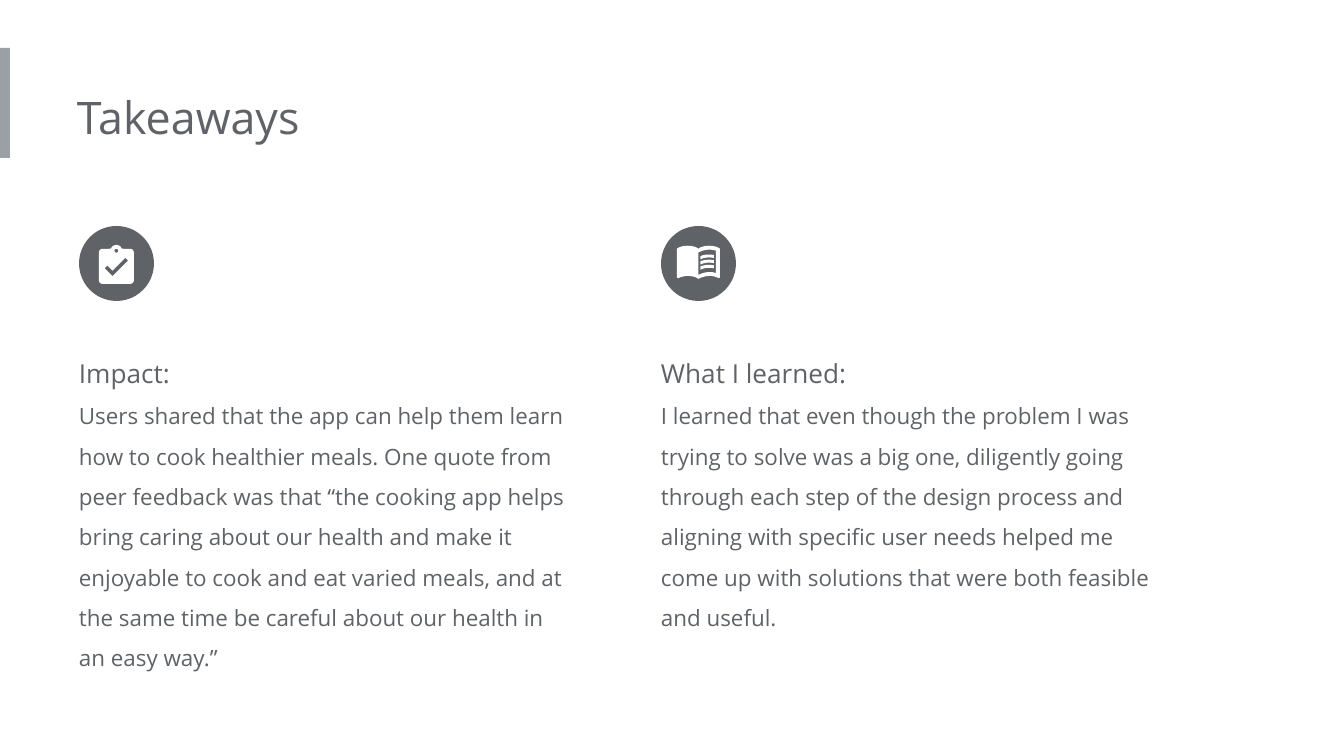
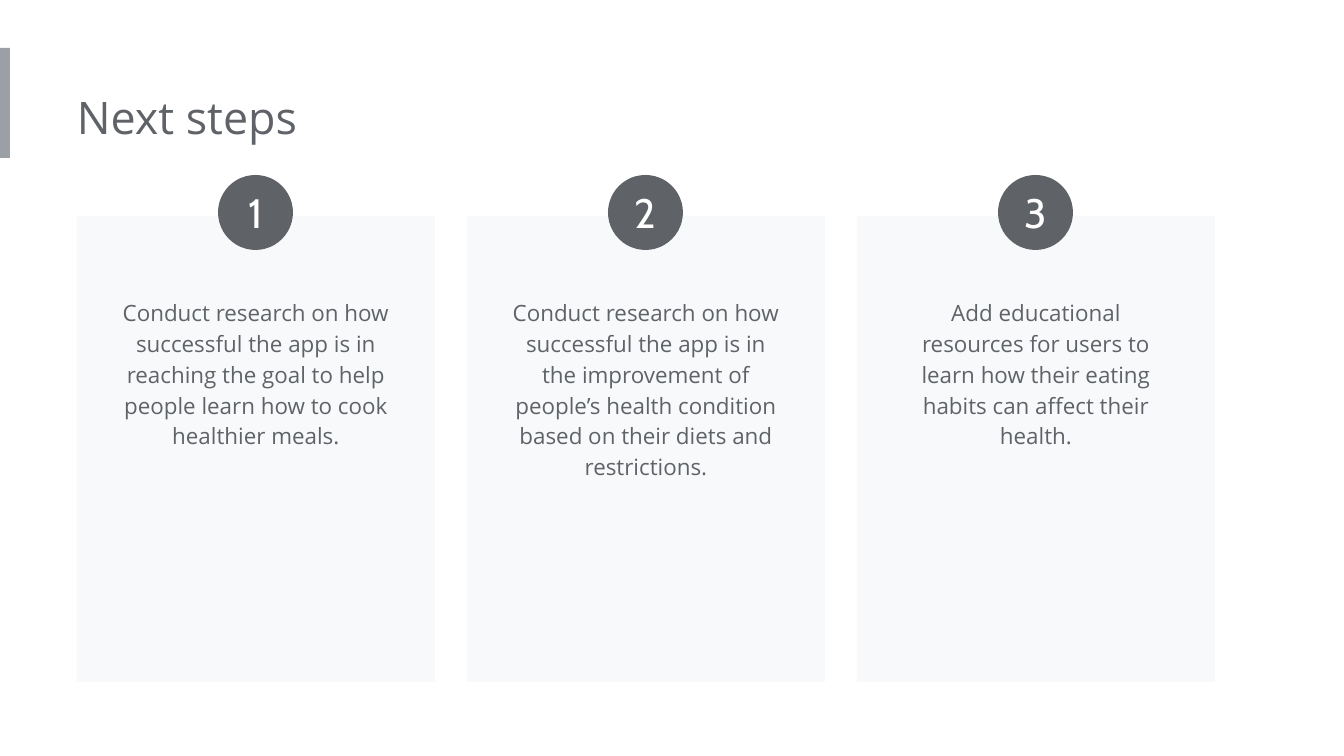
from dataclasses import dataclass
from math import cos, radians, sin

from pptx import Presentation
from pptx.dml.color import RGBColor
from pptx.enum.shapes import MSO_SHAPE
from pptx.enum.text import MSO_ANCHOR, MSO_AUTO_SIZE, PP_ALIGN
from pptx.util import Inches, Pt

SLIDE_W, SLIDE_H = 1344, 756
PX = Inches(10) / SLIDE_W
ICON_SCALE = PX * 0.0195  # icons are drawn on a 2400-unit grid
INSET = 13
DISC = 75


@dataclass(frozen=True)
class Theme:
    ink: RGBColor = RGBColor(0x5F, 0x63, 0x68)
    band: RGBColor = RGBColor(0x9A, 0xA0, 0xA6)
    card: RGBColor = RGBColor(0xF8, 0xF9, 0xFA)
    white: RGBColor = RGBColor(0xFF, 0xFF, 0xFF)
    font: str = "Open Sans"
    number_font: str = "Cabin"
    title: int = 24
    number: int = 22
    heading: int = 14
    body: int = 12


@dataclass(frozen=True)
class Box:
    x: int
    y: int
    w: int
    h: int

    def emu(self) -> list[int]:
        return [round(v * PX) for v in (self.x, self.y, self.w, self.h)]


@dataclass(frozen=True)
class Line:
    text: str
    size: int
    color: RGBColor
    font: str


Contour = list[tuple[float, float]]


@dataclass(frozen=True)
class Icon:
    dx: int
    dy: int
    outlines: list[list[Contour]]


@dataclass(frozen=True)
class Takeaway:
    heading: str
    body: str
    icon: Icon


THEME = Theme()
BAND = Box(0, 48, 10, 110)
TITLE = Box(77, 77, 724, 82)
COLUMN_X, COLUMN_PITCH = 79, 582
CARD_X, CARD_PITCH = 77, 390


def arc(cx: float, cy: float, radius: float, start: int, end: int) -> Contour:
    """Points along a circular arc, clockwise on the slide, in degrees."""
    steps = 12
    angles = [radians(start + (end - start) * i / steps) for i in range(steps + 1)]
    return [(cx + radius * cos(a), cy + radius * sin(a)) for a in angles]


def text_rule(y: int) -> Contour:
    """One line of print on the right-hand page of the book."""
    curve = [(1300, 83), (1450, 35), (1600, 8), (1750, 0), (1880, 6), (2000, 24),
             (2000, 176), (1880, 157), (1750, 150), (1600, 158), (1450, 192), (1300, 249)]
    return [(px, y + py) for px, py in curve]


CLIPBOARD = Icon(14, 17, [[
    arc(1200, 400, 300, 200, 340) + arc(1900, 500, 200, 270, 360)
    + arc(1900, 1900, 200, 0, 90) + arc(500, 1900, 200, 90, 180)
    + arc(500, 500, 200, 180, 270),
    arc(1200, 400, 100, 0, 360),
    [(1000, 1700), (600, 1300), (741, 1159), (1000, 1417), (1659, 758), (1800, 900)],
]])

BOOK = Icon(14, 11, [
    [
        [(100, 600), (220, 531), (360, 484), (500, 459), (650, 450), (800, 459),
         (940, 484), (1080, 531), (1200, 600), (1320, 531), (1460, 484), (1600, 459),
         (1750, 450), (1930, 462), (2100, 500), (2210, 543), (2300, 600), (2300, 2060),
         (2285, 2095), (2250, 2110), (2225, 2105), (2110, 2056), (1990, 2023),
         (1870, 2005), (1750, 2000), (1600, 2014), (1450, 2050), (1310, 2095),
         (1200, 2150), (1080, 2081), (940, 2034), (800, 2009), (650, 2000),
         (530, 2010), (400, 2035), (280, 2070), (175, 2110), (150, 2115),
         (115, 2100), (100, 2065)],
        [(1200, 800), (1310, 745), (1450, 697), (1600, 663), (1750, 650), (1930, 662),
         (2100, 700), (2100, 1850), (1930, 1812), (1750, 1800), (1600, 1814),
         (1450, 1850), (1310, 1895), (1200, 1950)],
    ],
    *[[text_rule(900 + 266 * i)] for i in range(3)],
])

TAKEAWAYS = [
    Takeaway(
        "Impact:",
        "Users shared that the app can help them learn how to cook healthier meals. "
        "One quote from peer feedback was that “the cooking app helps bring caring about "
        "our health and make it enjoyable to cook and eat varied meals, and at the same "
        "time be careful about our health in an easy way.”",
        CLIPBOARD),
    Takeaway(
        "What I learned:",
        "I learned that even though the problem I was trying to solve was a big one, "
        "diligently going through each step of the design process and aligning with "
        "specific user needs helped me come up with solutions that were both feasible "
        "and useful.",
        BOOK),
]

NEXT_STEPS = [
    "Conduct research on how successful the app is in reaching the goal to help people "
    "learn how to cook healthier meals.",
    "Conduct research on how successful the app is in the improvement of people’s health "
    "condition based on their diets and restrictions.",
    "Add educational resources for users to learn how their eating habits can affect "
    "their health.",
]


def ink_line(text: str, size: int) -> Line:
    return Line(text, size, THEME.ink, THEME.font)


def set_all(target, values: dict) -> None:
    for name, value in values.items():
        setattr(target, name, value)


def write(sp, lines: list[Line], *, align=PP_ALIGN.LEFT, spacing: float = 1.0,
          left: int = 0, inset: int = INSET, anchor=MSO_ANCHOR.TOP,
          fit=MSO_AUTO_SIZE.SHAPE_TO_FIT_TEXT) -> None:
    tf = sp.text_frame
    margin = round(inset * PX)
    set_all(tf, {"word_wrap": True, "auto_size": fit, "vertical_anchor": anchor,
                 "margin_left": round(left * PX), "margin_right": margin,
                 "margin_top": margin, "margin_bottom": margin})
    for i, line in enumerate(lines):
        p = tf.add_paragraph() if i else tf.paragraphs[0]
        set_all(p, {"alignment": align, "line_spacing": spacing,
                    "space_before": Pt(0), "space_after": Pt(0)})
        r = p.add_run()
        r.text = line.text
        set_all(r.font, {"name": line.font, "size": Pt(line.size)})
        r.font.color.rgb = line.color


def paint(sp, color: RGBColor):
    sp.shadow.inherit = False
    sp.fill.solid()
    sp.fill.fore_color.rgb = color
    sp.line.fill.background()
    return sp


def add_block(s, kind: MSO_SHAPE, box: Box, color: RGBColor):
    return paint(s.shapes.add_shape(kind, *box.emu()), color)


def add_disc(s, x: int, y: int):
    return add_block(s, MSO_SHAPE.OVAL, Box(x, y, DISC, DISC), THEME.ink)


def add_icon(s, icon: Icon, x: int, y: int) -> None:
    """Draw an icon over the disc at x, y; inner contours become holes."""
    several = len(icon.outlines) > 1
    shapes = s.shapes.add_group_shape().shapes if several else s.shapes
    origin = round((x + icon.dx) * PX), round((y + icon.dy) * PX)
    for first, *holes in icon.outlines:
        builder = shapes.build_freeform(*first[0], scale=ICON_SCALE)
        builder.add_line_segments(first[1:], close=True)
        for hole in holes:
            builder.move_to(*hole[0])
            builder.add_line_segments(hole[1:], close=True)
        paint(builder.convert_to_shape(*origin), THEME.white)


def add_titled_slide(prs, title: str):
    s = prs.slides.add_slide(prs.slide_layouts[5])
    add_block(s, MSO_SHAPE.RECTANGLE, BAND, THEME.band)
    sp = s.shapes.title
    set_all(sp, dict(zip(("left", "top", "width", "height"), TITLE.emu())))
    write(sp, [ink_line(title, THEME.title)])
    return s


def add_takeaway(s, x: int, item: Takeaway) -> None:
    sp = s.shapes.add_textbox(*Box(x, 329, 507, 360).emu())
    write(sp, [ink_line(item.heading, THEME.heading), ink_line(item.body, THEME.body)],
          spacing=1.5)
    disc_y = 226
    add_disc(s, x, disc_y)
    add_icon(s, item.icon, x, disc_y)


def add_step(s, number: int, text: str) -> None:
    card = Box(CARD_X + CARD_PITCH * (number - 1), 216, 358, 466)
    add_block(s, MSO_SHAPE.RECTANGLE, card, THEME.card)
    sp = s.shapes.add_textbox(*Box(card.x + 28, 282, card.w - 2 * 28, 183).emu())
    write(sp, [ink_line(text, THEME.body)], align=PP_ALIGN.CENTER, spacing=1.15, left=INSET)
    disc = add_disc(s, card.x + (card.w - DISC) // 2, 175)
    write(disc, [Line(str(number), THEME.number, THEME.white, THEME.number_font)],
          align=PP_ALIGN.CENTER, inset=0, anchor=MSO_ANCHOR.MIDDLE, fit=MSO_AUTO_SIZE.NONE)


def main() -> None:
    prs = Presentation()
    set_all(prs, {"slide_width": round(SLIDE_W * PX), "slide_height": round(SLIDE_H * PX)})

    s = add_titled_slide(prs, "Takeaways")
    for i, item in enumerate(TAKEAWAYS):
        add_takeaway(s, COLUMN_X + COLUMN_PITCH * i, item)

    s = add_titled_slide(prs, "Next steps")
    for number, text in enumerate(NEXT_STEPS, start=1):
        add_step(s, number, text)

    prs.save("out.pptx")


if __name__ == "__main__":
    main()
